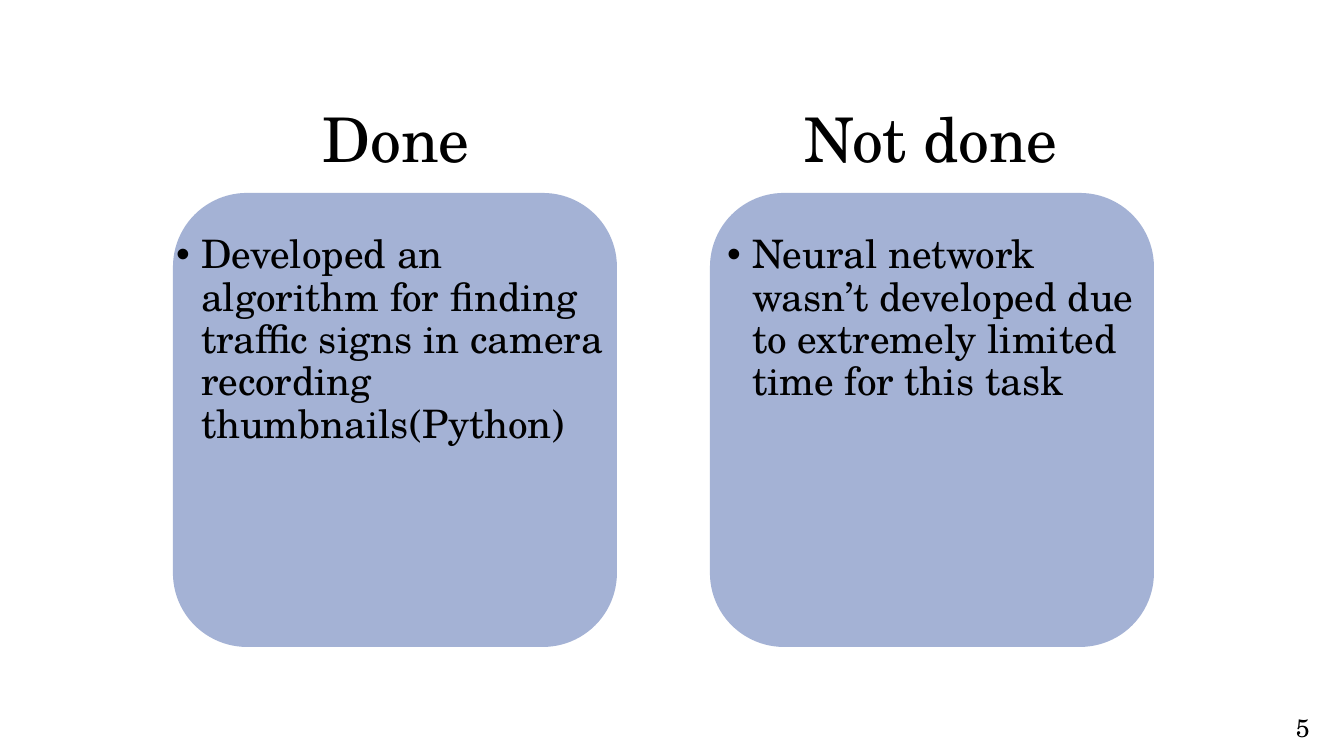
from dataclasses import dataclass
from lxml.etree import SubElement
from pptx import Presentation
from pptx.dml.color import RGBColor
from pptx.enum.shapes import MSO_SHAPE as SHAPE
from pptx.enum.text import MSO_ANCHOR as ANCHOR, MSO_AUTO_SIZE as AUTO, PP_ALIGN as ALIGN
from pptx.oxml.ns import qn
from pptx.util import Pt

COLUMNS = [
    {"heading": "Done",
     "item": "Developed an algorithm for finding traffic signs in camera recording thumbnails(Python)",
     "panel_x": 173, "heading_x": 194, "heading_w": 404, "list_x": 166},
    {"heading": "Not done",
     "item": "Neural network wasn’t developed due to extremely limited time for this task",
     "panel_x": 710, "heading_x": 695, "heading_w": 472, "list_x": 717},
]
PAGE_NUMBER = "5"

SLIDE_W, SLIDE_H = 1344, 756
EMU_PER_PX = 12192000 / SLIDE_W
PANEL_Y, PANEL_W, PANEL_H = 193, 444, 454
HEADING_Y, HEADING_H = 93, 99
LIST_Y, LIST_W, LIST_H = 230, 451, 480
NUMBER_BOX = (1286, 707, 34, 40)
BULLET_INDENT = 25


@dataclass(frozen=True)
class Theme:
    font: str = "TeX Gyre Schola"
    text: RGBColor = RGBColor(0, 0, 0)
    panel: RGBColor = RGBColor(0x4A, 0x66, 0xAC)
    panel_alpha: int = 50
    heading: int = 44
    body: int = 28
    number: int = 18


THEME = Theme()
HEADING_FORMAT = {"alignment": ALIGN.CENTER, "line_spacing": 0.9, "space_before": Pt(0)}
LIST_FORMAT = {"alignment": ALIGN.LEFT, "line_spacing": 0.9, "space_before": Pt(10)}
NUMBER_FORMAT = {"alignment": ALIGN.LEFT}


def px(n):
    return round(n * EMU_PER_PX)


def apply(obj, values):
    for name, value in values.items():
        setattr(obj, name, value)


def place(sp, x, y, w, h):
    apply(sp, {"left": px(x), "top": px(y), "width": px(w), "height": px(h)})


def write(sp, text, size, para_format, **frame_format):
    tf = sp.text_frame
    apply(tf, {"word_wrap": True, "auto_size": AUTO.NONE, **frame_format})
    p = tf.paragraphs[0]
    apply(p, para_format)
    r = p.add_run()
    r.text = text
    apply(r.font, {"name": THEME.font, "size": Pt(size)})
    r.font.color.rgb = THEME.text
    return p


def add_bullet(p):
    pPr = p._p.get_or_add_pPr()
    pPr.set("marL", str(px(BULLET_INDENT)))
    pPr.set("indent", str(-px(BULLET_INDENT)))
    SubElement(pPr, qn("a:buFont")).set("typeface", "Arial")
    SubElement(pPr, qn("a:buChar")).set("char", "•")


def add_panel(s, x):
    sp = s.shapes.add_shape(SHAPE.ROUNDED_RECTANGLE, px(x), px(PANEL_Y), px(PANEL_W), px(PANEL_H))
    sp.shadow.inherit = False
    sp.fill.solid()
    sp.fill.fore_color.rgb = THEME.panel
    color = sp.element.spPr.find(qn("a:solidFill"))[0]
    SubElement(color, qn("a:alpha")).set("val", str(THEME.panel_alpha * 1000))
    sp.line.fill.background()
    s.shapes.title.element.addprevious(sp.element)


def main():
    prs = Presentation()
    apply(prs, {"slide_width": px(SLIDE_W), "slide_height": px(SLIDE_H)})
    s = prs.slides.add_slide(prs.slide_layouts[3])
    headings = [s.shapes.title, s.shapes.add_textbox(0, 0, 0, 0)]
    lists = [s.placeholders[1], s.placeholders[2]]

    for col, heading, body in zip(COLUMNS, headings, lists):
        add_panel(s, col["panel_x"])
        place(heading, col["heading_x"], HEADING_Y, col["heading_w"], HEADING_H)
        write(heading, col["heading"], THEME.heading, HEADING_FORMAT, vertical_anchor=ANCHOR.MIDDLE)
        place(body, col["list_x"], LIST_Y, LIST_W, LIST_H)
        add_bullet(write(body, col["item"], THEME.body, LIST_FORMAT, vertical_anchor=ANCHOR.TOP))

    number = s.shapes.add_textbox(*map(px, NUMBER_BOX))
    write(number, PAGE_NUMBER, THEME.number, NUMBER_FORMAT,
          word_wrap=False, auto_size=AUTO.SHAPE_TO_FIT_TEXT)
    prs.save("out.pptx")


if __name__ == "__main__":
    main()
